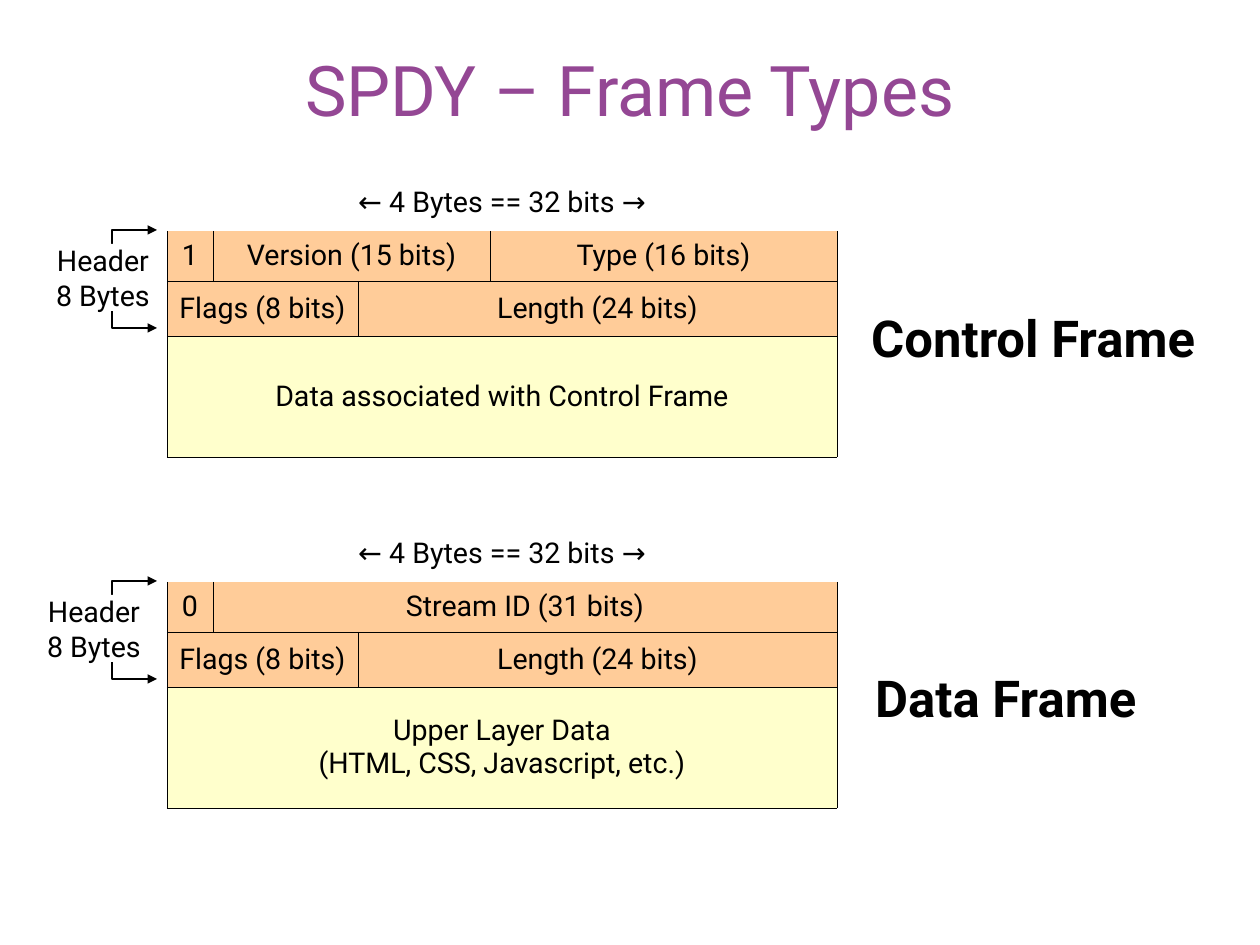
from lxml import etree
from pptx import Presentation
from pptx import util as u
from pptx.dml.color import RGBColor
from pptx.enum import shapes, text
from pptx.oxml import ns

PX = 8000
PURPLE = RGBColor(0x94, 0x47, 0x94)
BLACK = RGBColor(0, 0, 0)
WHITE = RGBColor(0xFF, 0xFF, 0xFF)
ORANGE = RGBColor(0xFF, 0xCC, 0x99)
YELLOW = RGBColor(0xFF, 0xFF, 0xCC)

TITLE = "SPDY – Frame Types"
RULER = "← 4 Bytes == 32 bits →"
HEADER_LABEL = "Header\n8 Bytes"
FRAMES = [
    {
        "name": "Control Frame", "top": 180, "label_left": 49, "name_at": (860, 301),
        "columns": [46, 145, 132, 347],
        "rows": [
            [(RULER, 4)],
            [("1", 1), ("Version (15 bits)", 2), ("Type (16 bits)", 1)],
            [("Flags (8 bits)", 2), ("Length (24 bits)", 2)],
            [("Data associated with Control Frame", 4)],
        ],
    },
    {
        "name": "Data Frame", "top": 531, "label_left": 40, "name_at": (864, 661),
        "columns": [46, 145, 479],
        "rows": [
            [(RULER, 3)],
            [("0", 1), ("Stream ID (31 bits)", 2)],
            [("Flags (8 bits)", 2), ("Length (24 bits)", 1)],
            [("Upper Layer Data\n(HTML, CSS, Javascript, etc.)", 3)],
        ],
    },
]
TABLE_LEFT = 167
ROW_HEIGHTS = [51, 50, 55, 121]
ROW_FILLS = [None, ORANGE, ORANGE, YELLOW]
ROW_BORDERS = ["", "LRB", "LRTB", "LRTB"]


def px(*lengths):
    return [u.Emu(length * PX) for length in lengths]


def write(frame, content, size=18, color=BLACK, bold=False, align=text.PP_ALIGN.CENTER):
    for index, line in enumerate(content.split("\n")):
        para = frame.add_paragraph() if index else frame.paragraphs[0]
        para.alignment = align
        span = para.add_run()
        span.text = line
        span.font.name = "Roboto"
        span.font.size = u.Pt(size)
        span.font.bold = bold
        span.font.color.rgb = color


def style_cell(cell, fill, borders):
    properties = cell._tc.get_or_add_tcPr()
    for side in "LRTB":
        line = etree.SubElement(properties, ns.qn(f"a:ln{side}"), w="762")
        if side in borders:
            solid = etree.SubElement(line, ns.qn("a:solidFill"))
            etree.SubElement(solid, ns.qn("a:srgbClr"), val=str(BLACK))
        else:
            etree.SubElement(line, ns.qn("a:noFill"))
    if fill is None:
        cell.fill.background()
    else:
        cell.fill.solid()
        cell.fill.fore_color.rgb = fill


def add_frame_table(page, frame):
    columns, rows = frame["columns"], frame["rows"]
    size = px(sum(columns), sum(ROW_HEIGHTS))
    table = page.shapes.add_table(
        len(rows), len(columns), *px(TABLE_LEFT, frame["top"]), *size).table
    table.first_row = table.horz_banding = False
    for column, width in zip(table.columns, columns):
        column.width = u.Emu(width * PX)
    for row_index, cells in enumerate(rows):
        table.rows[row_index].height = u.Emu(ROW_HEIGHTS[row_index] * PX)
        for cell in table.rows[row_index].cells:
            style_cell(cell, ROW_FILLS[row_index], ROW_BORDERS[row_index])
        start = 0
        for content, width in cells:
            cell = table.cell(row_index, start)
            if width > 1:
                cell.merge(table.cell(row_index, start + width - 1))
            cell.vertical_anchor = text.MSO_ANCHOR.MIDDLE if row_index else text.MSO_ANCHOR.TOP
            write(cell.text_frame, content)
            start += width


def add_header_bracket(page, frame):
    top = frame["top"] + 50
    bottom = top + 98
    builder = page.shapes.build_freeform(157, top, scale=PX)
    builder.add_line_segments([(112, top), (112, bottom), (157, bottom)], close=False)
    bracket = builder.convert_to_shape()
    bracket.shadow.inherit = False
    bracket.fill.background()
    bracket.line.color.rgb = BLACK
    bracket.line.width = u.Pt(1.42)
    line = bracket.line._get_or_add_ln()
    for end in ("a:headEnd", "a:tailEnd"):
        etree.SubElement(line, ns.qn(end), type="triangle")

    label = page.shapes.add_shape(
        shapes.MSO_SHAPE.RECTANGLE, *px(frame["label_left"], frame["top"] + 64, 108, 67))
    label.shadow.inherit = False
    label.fill.solid()
    label.fill.fore_color.rgb = WHITE
    label.line.fill.background()
    label.text_frame.word_wrap = False
    label.text_frame.vertical_anchor = text.MSO_ANCHOR.MIDDLE
    write(label.text_frame, HEADER_LABEL)


def main():
    deck = Presentation()
    deck.slide_width, deck.slide_height = px(1260, 945)
    page = deck.slides.add_slide(deck.slide_layouts[5])

    title = page.shapes.title
    title.left, title.top, title.width, title.height = px(63, 10, 1134, 158)
    box = title.text_frame
    box.margin_left = box.margin_top = box.margin_right = box.margin_bottom = 0
    box.vertical_anchor = text.MSO_ANCHOR.MIDDLE
    write(box, TITLE, size=44, color=PURPLE)

    for frame in FRAMES:
        add_frame_table(page, frame)
        add_header_bracket(page, frame)
        name = page.shapes.add_textbox(*px(*frame["name_at"], 387, 80))
        name.text_frame.word_wrap = True
        write(name.text_frame, frame["name"], size=32, bold=True, align=text.PP_ALIGN.LEFT)

    deck.save("out.pptx")


if __name__ == "__main__":
    main()
